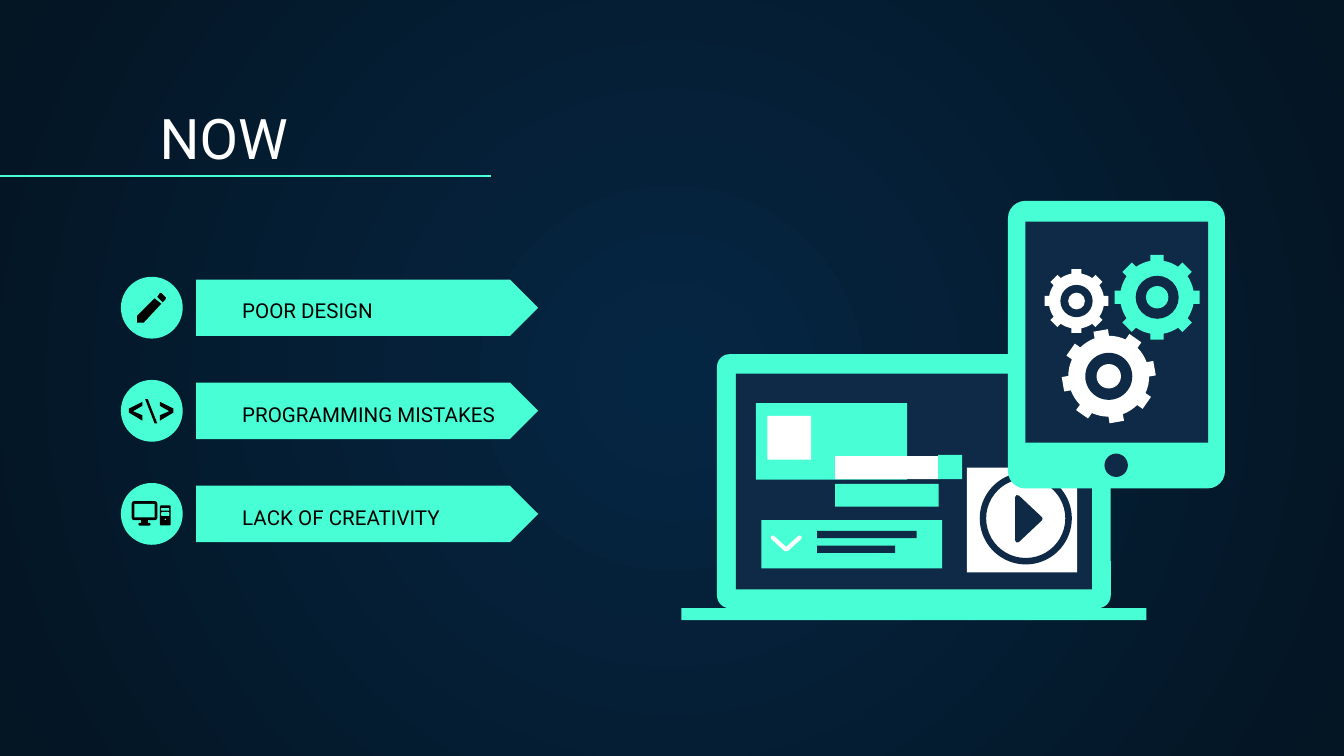
from dataclasses import dataclass
from math import asin, cos, pi, radians, sin

from lxml import etree
from pptx import Presentation
from pptx.dml.color import RGBColor
from pptx.enum.shapes import MSO_CONNECTOR, MSO_SHAPE
from pptx.enum.text import MSO_ANCHOR, MSO_AUTO_SIZE
from pptx.oxml.ns import qn
from pptx.util import Inches, Pt

RECT, ROUND = MSO_SHAPE.RECTANGLE, MSO_SHAPE.ROUNDED_RECTANGLE
OVAL, RING, ARROW = MSO_SHAPE.OVAL, MSO_SHAPE.DONUT, MSO_SHAPE.PENTAGON
STRAIGHT = MSO_CONNECTOR.STRAIGHT
BOTTOM = MSO_ANCHOR.BOTTOM
FIXED = MSO_AUTO_SIZE.NONE

TEAL = RGBColor(0x48, 0xFF, 0xD5)
NAVY = RGBColor(0x0E, 0x2A, 0x47)
WHITE = RGBColor(0xFF, 0xFF, 0xFF)
BLACK = RGBColor(0x00, 0x00, 0x00)
CENTRE = RGBColor(0x05, 0x26, 0x43)
EDGE = RGBColor(0x04, 0x15, 0x23)
FONT = "Roboto"

# The page is a grid of 100 columns by 56.25 rows
COLUMNS, ROWS = 100, 56.25
FIRST_ROW, ROW_STEP = 22.9, 7.67
Points = list[tuple[float, float]]


@dataclass(frozen=True)
class Block:
    column: float
    row: float
    width: float
    height: float
    colour: RGBColor
    kind: MSO_SHAPE = RECT
    adjust: float | None = None


@dataclass(frozen=True)
class Gear:
    column: float
    row: float
    radius: float
    colour: RGBColor
    turn: float = 0


def grid(cells: float) -> int:
    return Inches(cells / 10)


deck = Presentation()
deck.slide_width, deck.slide_height = grid(COLUMNS), grid(ROWS)
page = deck.slides.add_slide(deck.slide_layouts[6])


def draw_block(block: Block) -> None:
    shape = page.shapes.add_shape(block.kind, grid(block.column), grid(block.row),
                                  grid(block.width), grid(block.height))
    shape.shadow.inherit = False
    shape.fill.solid()
    shape.fill.fore_color.rgb = block.colour
    shape.line.fill.background()
    if block.adjust is not None:
        shape.adjustments[0] = block.adjust


def draw_disc(column: float, row: float, radius: float, colour: RGBColor) -> None:
    draw_block(Block(column - radius, row - radius, 2 * radius, 2 * radius, colour, OVAL))


def draw_outline(points: Points, colour: RGBColor, stroke: float = 0,
                 closed: bool = True) -> None:
    corners = [(grid(column), grid(row)) for column, row in points]
    builder = page.shapes.build_freeform(*corners[0])
    builder.add_line_segments(corners[1:], close=closed)
    shape = builder.convert_to_shape()
    shape.shadow.inherit = False
    if closed:
        shape.fill.solid()
        shape.fill.fore_color.rgb = colour
    else:
        shape.fill.background()
    if stroke:
        shape.line.color.rgb = colour
        shape.line.width = Pt(stroke)
        line = shape.line._get_or_add_ln()
        line.set("cap", "rnd")
        etree.SubElement(line, qn("a:round"))
    else:
        shape.line.fill.background()


def draw_gear(gear: Gear) -> None:
    teeth, body, half_tooth = 8, 0.86, 0.155
    foot, tip = asin(half_tooth / body), asin(half_tooth)
    points = []
    for tooth in range(teeth):
        middle = 2 * pi * tooth / teeth + radians(gear.turn)
        valley = 2 * pi / teeth - 2 * foot
        profile = [(body, -foot), (1, -tip), (1, tip)]
        profile += [(body, foot + valley * step / 4) for step in range(4)]
        points += [(gear.column + gear.radius * reach * cos(middle + angle),
                    gear.row + gear.radius * reach * sin(middle + angle))
                   for reach, angle in profile]
    draw_outline(points, gear.colour)
    draw_disc(gear.column, gear.row, gear.radius * 0.5, NAVY)
    draw_disc(gear.column, gear.row, gear.radius * 0.26, gear.colour)


def draw_text(text: str, column: float, row: float, width: float, height: float,
              size: float, colour: RGBColor) -> None:
    box = page.shapes.add_textbox(grid(column), grid(row), grid(width), grid(height))
    frame = box.text_frame
    frame.word_wrap, frame.auto_size, frame.vertical_anchor = True, FIXED, BOTTOM
    frame.margin_left = frame.margin_right = grid(1)
    frame.margin_top = frame.margin_bottom = grid(1)
    para = frame.paragraphs[0]
    para.text = text
    para.font.name, para.font.size = FONT, Pt(size)
    para.font.color.rgb = colour


# Background: radial gradient
fill = page.background.fill
fill.gradient()
for stop, colour, position in zip(fill.gradient_stops, (CENTRE, EDGE), (0, 1)):
    stop.color.rgb, stop.position = colour, position
gradient = page.background._cSld.find(".//" + qn("a:gradFill"))
gradient.remove(gradient.find(qn("a:lin")))
radial = etree.SubElement(gradient, qn("a:path"))
radial.set("path", "circle")
focus = etree.SubElement(radial, qn("a:fillToRect"))
for side in "ltrb":
    focus.set(side, "50000")

# Title and its rule
draw_text("NOW", 10.9, 7.12, 85.7, 6.6, 30, WHITE)
rule = page.shapes.add_connector(STRAIGHT, 0, grid(13.1), grid(36.5), grid(13.1))
rule.line.color.rgb, rule.line.width = TEAL, Pt(0.75)
etree.SubElement(rule._element.spPr, qn("a:effectLst"))

# Problem rows: arrow, label and disc
for index, label in enumerate(("POOR DESIGN", "PROGRAMMING MISTAKES", "LACK OF CREATIVITY")):
    middle = FIRST_ROW + index * ROW_STEP
    draw_block(Block(14.6, middle - 2.1, 25.45, 4.2, TEAL, ARROW, 0.5))
    draw_text(label, 17.04, middle + 0.04, 22.7, 2.1, 11, BLACK)
    draw_disc(11.3, middle, 2.3, TEAL)

# Pencil and code icons
ICON_OUTLINES: list[Points] = [
    [(11.5, 22.2), (10.2, 23.5), (10.2, 24), (10.7, 24), (12, 22.6)],
    [(11.7, 22.1), (11.9, 21.8), (12, 21.8), (12.35, 22.15), (12.3, 22.3), (12.1, 22.5)],
    [(10.6, 31.3), (9.6, 30.7), (9.6, 30.4), (10.6, 29.9), (10.6, 30.2), (9.9, 30.6),
     (10.6, 30.9)],
    [(11.5, 31.5), (10.8, 29.7), (11, 29.7), (11.7, 31.5)],
    [(11.9, 31.3), (11.9, 30.9), (12.6, 30.6), (11.9, 30.2), (11.9, 29.9), (12.9, 30.4),
     (12.9, 30.7)],
]
for outline in ICON_OUTLINES:
    draw_outline(outline, BLACK)

# Computer icon, then the laptop with its windows
BLOCKS = [
    Block(9.8, 37.3, 1.9, 1.4, BLACK, ROUND, 0.12),
    Block(10, 37.5, 1.5, 1, TEAL),
    Block(10.5, 38.7, 0.5, 0.3, BLACK),
    Block(10.3, 38.9, 0.9, 0.2, BLACK, ROUND, 0.5),
    Block(11.9, 37.6, 0.8, 1.5, BLACK, ROUND, 0.12),
    Block(12, 37.8, 0.6, 0.2, TEAL, ROUND, 0.3),
    Block(12, 38.1, 0.6, 0.3, TEAL, ROUND, 0.3),
    Block(12.25, 38.6, 0.1, 0.1, TEAL, OVAL),
    Block(53.35, 26.35, 29.3, 18.9, TEAL, ROUND, 0.05),
    Block(54.75, 27.8, 26.5, 16.05, NAVY),
    Block(50.7, 45.25, 34.6, 0.9, TEAL),
    Block(56.25, 30, 11.25, 5.7, TEAL),
    Block(57.1, 30.95, 3.25, 3.25, WHITE),
    Block(56.65, 38.7, 13.45, 3.6, TEAL),
    Block(60.8, 39.5, 7.4, 0.55, NAVY),
    Block(60.8, 40.6, 5.8, 0.55, NAVY),
    Block(62.15, 36, 7.7, 1.7, TEAL),
    Block(62.15, 33.95, 7.7, 1.7, WHITE),
    Block(69.8, 33.85, 1.8, 1.8, TEAL),
    Block(71.95, 34.8, 8.2, 7.8, WHITE),
    Block(72.9, 35.15, 6.85, 6.85, NAVY, RING, 0.07),
]
for block in BLOCKS:
    draw_block(block)
draw_outline([(57.5, 40), (58.5, 40.9), (59.5, 40)], WHITE, stroke=2.25, closed=False)
draw_outline([(75.7, 37), (75.7, 40.2), (77.4, 38.6)], NAVY, stroke=2.5)

# Tablet with gears
draw_block(Block(75, 14.95, 16.15, 21.4, TEAL, ROUND, 0.08))
draw_block(Block(76.3, 16.5, 13.6, 16.45, NAVY))
draw_disc(83.05, 34.62, 0.87, NAVY)
for gear in (Gear(86.1, 22.12, 3.2, TEAL), Gear(80.1, 22.4, 2.4, WHITE),
             Gear(82.5, 28, 3.5, WHITE, -10)):
    draw_gear(gear)

deck.save("out.pptx")
